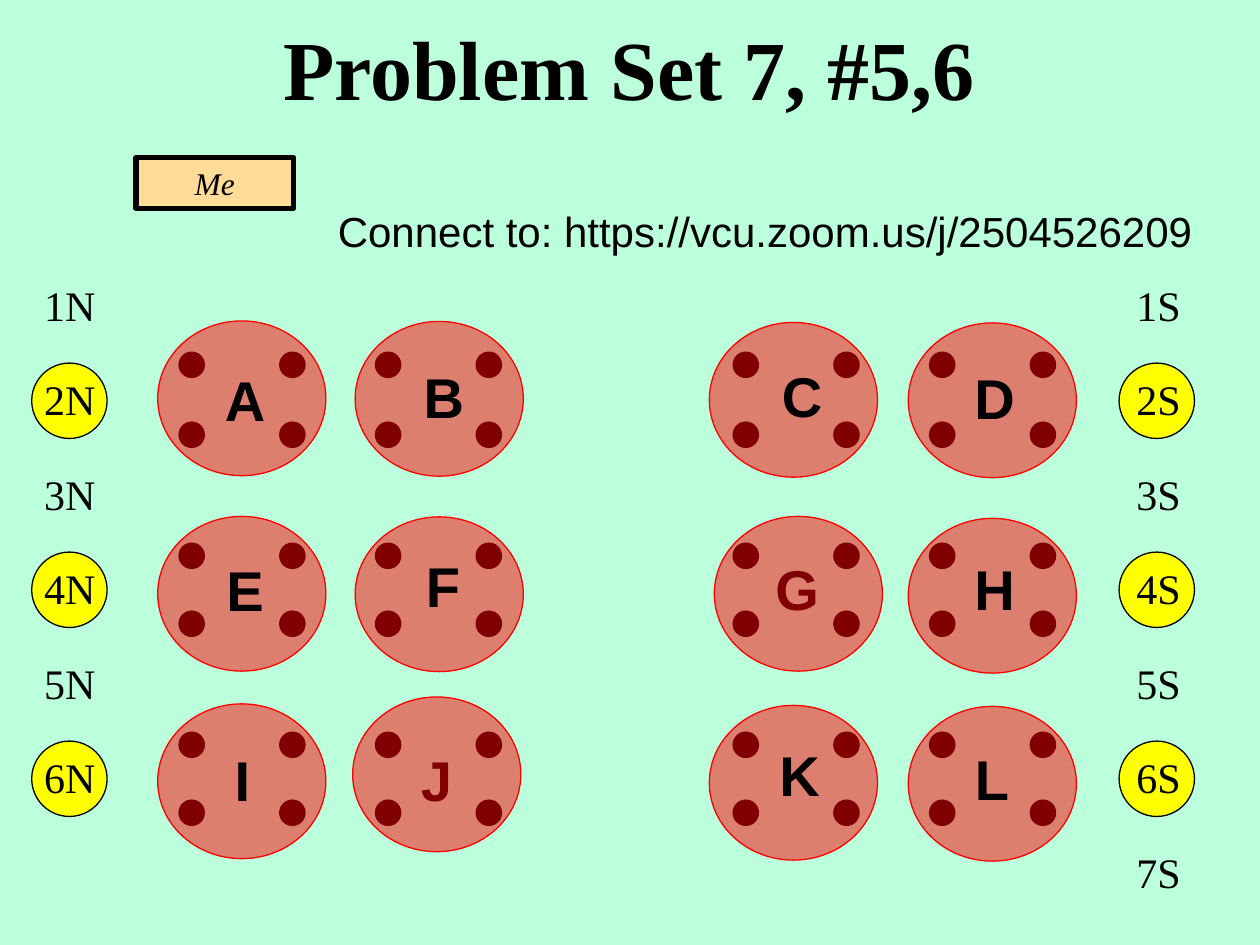
"""Build the classroom seating slide for Problem Set 7."""
from dataclasses import dataclass
from itertools import product

from lxml.etree import SubElement
from pptx import Presentation
from pptx.dml.color import RGBColor
from pptx.enum.shapes import MSO_SHAPE
from pptx.enum.text import MSO_ANCHOR, PP_ALIGN
from pptx.oxml.ns import qn
from pptx.util import Cm, Pt


@dataclass(frozen=True)
class Theme:
    background: str = "BBFFDD"
    ink: str = "000000"
    table: str = "FF0000"
    marker: str = "FFFF00"
    desk: str = "FFDD99"
    serif: str = "Times New Roman"
    sans: str = "Arial"
    title_size: int = 48
    letter_size: int = 32
    body_size: int = 24
    desk_size: int = 18


theme = Theme()


def add_figure(kind, left, top, width, height, fill, line, line_width=0.75, opacity=100):
    figure = slide.shapes.add_shape(kind, Cm(left), Cm(top), Cm(width), Cm(height))
    figure.shadow.inherit = False
    figure.fill.solid()
    figure.fill.fore_color.rgb = RGBColor.from_string(fill)
    figure.line.color.rgb = RGBColor.from_string(line)
    figure.line.width = Pt(line_width)
    if opacity < 100:
        color = figure.fill._xPr.find(qn("a:solidFill"))[0]
        SubElement(color, qn("a:alpha")).set("val", str(opacity * 1000))
    return figure


def write(holder, words, size, face, align=PP_ALIGN.LEFT, bold=False, italic=False):
    frame = holder.text_frame
    frame.word_wrap = True
    paragraph = frame.paragraphs[0]
    paragraph.alignment = align
    run = paragraph.add_run()
    run.text = words
    run.font.size = Pt(size)
    run.font.name = face
    run.font.bold = bold
    run.font.italic = italic
    run.font.color.rgb = RGBColor.from_string(theme.ink)


deck = Presentation()
deck.slide_width, deck.slide_height = Cm(25.4), Cm(19.05)
slide = deck.slides.add_slide(deck.slide_layouts[6])
slide.background.fill.solid()
slide.background.fill.fore_color.rgb = RGBColor.from_string(theme.background)

row_pitch = 3.81
for marker_left, row in product((0.64, 22.56), range(3)):
    add_figure(MSO_SHAPE.OVAL, marker_left, 7.32 + row * row_pitch, 1.52, 1.52,
               theme.marker, theme.ink)

desk = add_figure(MSO_SHAPE.RECTANGLE, 2.74, 3.18, 3.18, 1.02, theme.desk, theme.ink, 3)
desk.text_frame.vertical_anchor = MSO_ANCHOR.MIDDLE
write(desk, "Me", theme.desk_size, theme.serif, PP_ALIGN.CENTER, italic=True)

for side, side_left, count in (("N", 0.64, 6), ("S", 22.66, 7)):
    for number in range(count):
        row_label = slide.shapes.add_textbox(
            Cm(side_left), Cm(5.51 + number * row_pitch / 2), Cm(1.7), Cm(1.27))
        write(row_label, f"{number + 1}{side}", theme.body_size, theme.serif)

seat_lefts = [block + seat for block in (3.61, 14.78) for seat in (0, 2.03, 3.96, 5.99)]
seat_tops = (7.1, 8.51, 10.95, 12.32, 14.76, 16.13)
for seat_top, seat_left in product(seat_tops, seat_lefts):
    add_figure(MSO_SHAPE.OVAL, seat_left, seat_top, 0.51, 0.51, theme.ink, theme.ink)

tables = [
    ("A", 3.18, 6.47, 3.81, 7.24), ("B", 7.16, 6.48, 7.82, 7.19),
    ("C", 14.3, 6.5, 15.04, 7.16), ("D", 18.31, 6.51, 18.92, 7.21),
    ("E", 3.18, 10.41, 3.81, 11.07), ("F", 7.16, 10.42, 7.8, 11),
    ("G", 14.4, 10.41, 14.94, 11.05), ("H", 18.31, 10.45, 18.92, 11.05),
    ("I", 3.18, 14.19, 3.76, 14.91), ("J", 7.11, 14.05, 7.67, 14.91),
    ("K", 14.3, 14.22, 14.99, 14.81), ("L", 18.31, 14.24, 18.87, 14.88),
]
covered = [table for table in tables if table[0] in "GJ"]
uncovered = [table for table in tables if table not in covered]

for group in (uncovered, tables, covered):
    for letter, table_left, table_top, letter_left, letter_top in group:
        if group is tables:
            table_label = slide.shapes.add_textbox(
                Cm(letter_left), Cm(letter_top), Cm(2.26), Cm(1.63))
            write(table_label, letter, theme.letter_size, theme.sans, PP_ALIGN.CENTER, bold=True)
        else:
            add_figure(MSO_SHAPE.OVAL, table_left, table_top, 3.39, 3.12,
                       theme.table, theme.table, opacity=50)

meeting = slide.shapes.add_textbox(Cm(6.56), Cm(4.02), Cm(18.2), Cm(1.27))
write(meeting, "Connect to: https://vcu.zoom.us/j/2504526209", theme.body_size, theme.sans)

title = slide.shapes.add_textbox(Cm(2.2), Cm(0.2), Cm(20.96), Cm(2.11))
write(title, "Problem Set 7, #5,6", theme.title_size, theme.serif, PP_ALIGN.CENTER, bold=True)

deck.save("out.pptx")
